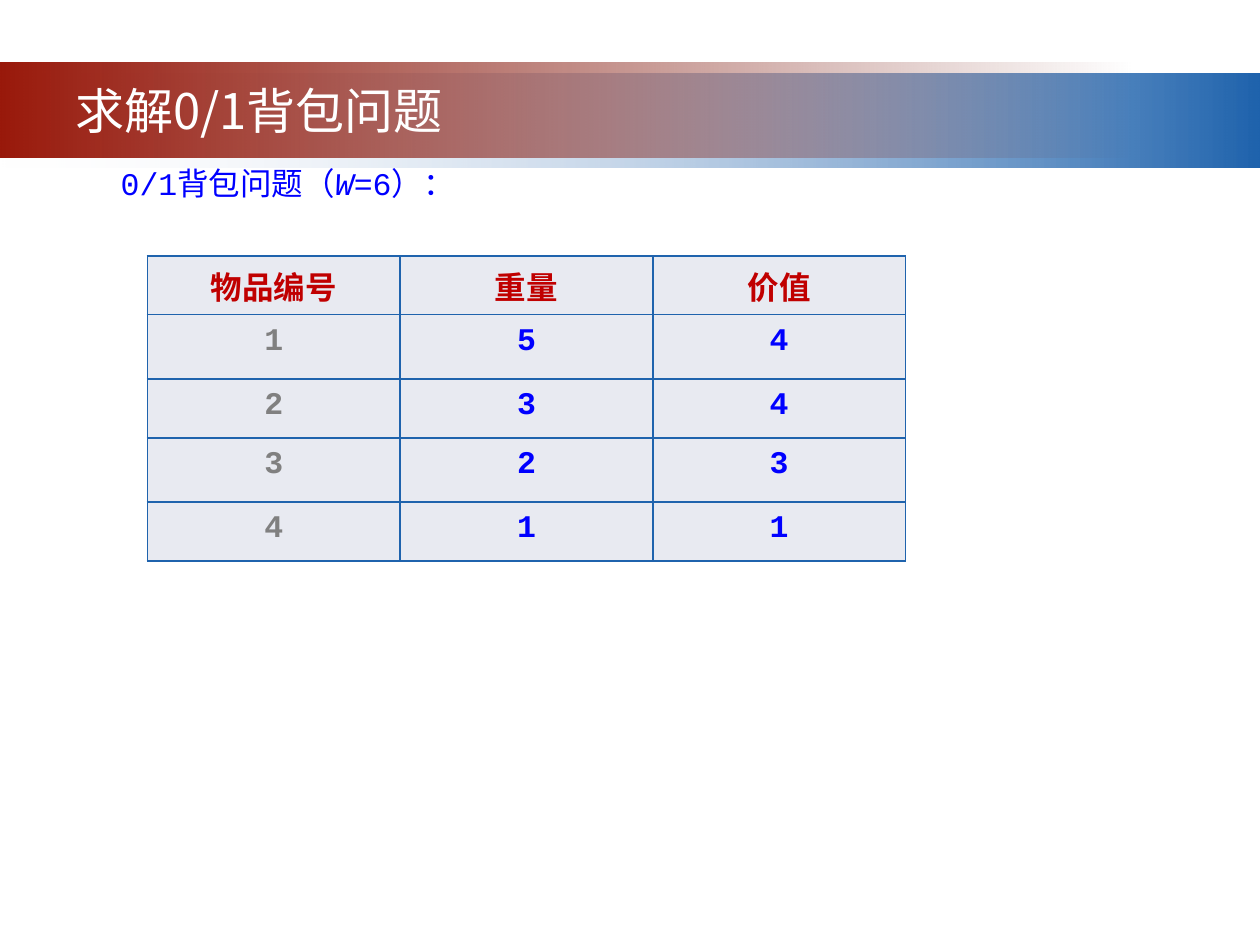
"""Build the 0/1 knapsack slide with its table of items."""
from lxml import etree
from pptx import Presentation
from pptx.dml.color import RGBColor
from pptx.enum.shapes import MSO_SHAPE
from pptx.enum.text import MSO_ANCHOR, MSO_AUTO_SIZE, PP_ALIGN
from pptx.oxml.ns import qn
from pptx.util import Pt

RECT = MSO_SHAPE.RECTANGLE
TOP = MSO_ANCHOR.TOP
FIXED = MSO_AUTO_SIZE.NONE
LEFT, MID = PP_ALIGN.LEFT, PP_ALIGN.CENTER

TITLE = "求解0/1背包问题"
LEAD = [("0/1背包问题（", False), ("W", True), ("=6）：", False)]
ROWS = [
    ("物品编号", "重量", "价值"),
    ("1", "5", "4"),
    ("2", "3", "4"),
    ("3", "2", "3"),
    ("4", "1", "1"),
]
BANDS = [
    ((0, 41.76, 720, 54), (("F1F2F7", 0), ("1F63AD", 100))),
    ((0, 36, 648, 54), (("99190B", 100), ("6D1208", 0))),
]
TITLE_BOX = (36, 37.44, 340, 51.12)
LEAD_BOX = (61.92, 90, 275.76, 28.8)
GRID = (84.24, 146.16)
COL = 144.4
HIGH = [33.72, 36.6, 33.72, 36.6, 33.72]
THEME = {
    "mono": "Courier New", "sans": "Noto Sans CJK SC",
    "big": 28, "base": 18,
    "white": "FFFFFF", "blue": "0000FF", "red": "C00000",
    "gray": "808080", "cell": "E8EAF1", "edge": "1F63AD",
}


def write(para, text, font="mono", size="base", color="blue", bold=False,
          slant=False, align=LEFT, lead=None):
    para.alignment = align
    if lead:
        para.line_spacing = Pt(lead)
    run = para.add_run()
    run.text = text
    face = run.font
    face.name = THEME[font]
    face.size = Pt(THEME[size])
    face.bold, face.italic = bold, slant
    face.color.rgb = RGBColor.from_string(THEME[color])
    east = etree.Element(qn("a:ea"), typeface=THEME["sans"])
    run._r.rPr.find(qn("a:latin")).addnext(east)


def band(slide, box, stops):
    shape = slide.shapes.add_shape(RECT, *map(Pt, box))
    shape.shadow.inherit = False
    shape.line.fill.background()
    shape.fill.gradient()
    shape.fill.gradient_angle = 0
    for stop, (color, _) in zip(shape.fill.gradient_stops, stops):
        stop.color.rgb = RGBColor.from_string(color)
    marks = shape._element.spPr.iter(qn("a:srgbClr"))
    for mark, (_, solid) in zip(marks, stops):
        if solid < 100:
            etree.SubElement(mark, qn("a:alpha"), val=str(solid * 1000))


def edge(cell):
    props = cell._tc.get_or_add_tcPr()
    for spot, side in enumerate(("lnL", "lnR", "lnT", "lnB")):
        line = etree.Element(qn("a:" + side), w=str(Pt(1)))
        fill = etree.SubElement(line, qn("a:solidFill"))
        etree.SubElement(fill, qn("a:srgbClr"), val=THEME["edge"])
        props.insert(spot, line)


def place(shape, box):
    shape.left, shape.top, shape.width, shape.height = map(Pt, box)


def grid(slide):
    count = len(ROWS[0])
    frame = slide.shapes.add_table(len(ROWS), count, *map(
        Pt, (*GRID, COL * count, sum(HIGH))))
    table = frame.table
    for col in table.columns:
        col.width = Pt(COL)
    for i, (row, high) in enumerate(zip(ROWS, HIGH)):
        table.rows[i].height = Pt(high)
        for j, text in enumerate(row):
            cell = table.cell(i, j)
            cell.margin_top = cell.margin_bottom = 0
            cell.fill.solid()
            cell.fill.fore_color.rgb = RGBColor.from_string(THEME["cell"])
            edge(cell)
            color = "red" if i == 0 else "gray" if j == 0 else "blue"
            write(cell.text_frame.paragraphs[0], text, color=color, bold=True,
                  align=MID, lead=26 if i else 30)


def main():
    deck = Presentation()
    deck.slide_width, deck.slide_height = Pt(720), Pt(540)
    slide = deck.slides.add_slide(deck.slide_layouts[5])
    title = slide.shapes.title
    tree = title._element.getparent()
    for box, stops in BANDS:
        band(slide, box, stops)
    grid(slide)

    lead = slide.shapes.add_textbox(*map(Pt, LEAD_BOX)).text_frame
    lead.word_wrap = True
    for text, slant in LEAD:
        write(lead.paragraphs[0], text, slant=slant)

    tree.append(title._element)
    place(title, TITLE_BOX)
    frame = title.text_frame
    frame.auto_size = FIXED
    frame.vertical_anchor = TOP
    frame.margin_top = frame.margin_bottom = Pt(8.64)
    write(frame.paragraphs[0], TITLE, font="sans", size="big", color="white")
    deck.save("out.pptx")


if __name__ == "__main__":
    main()
